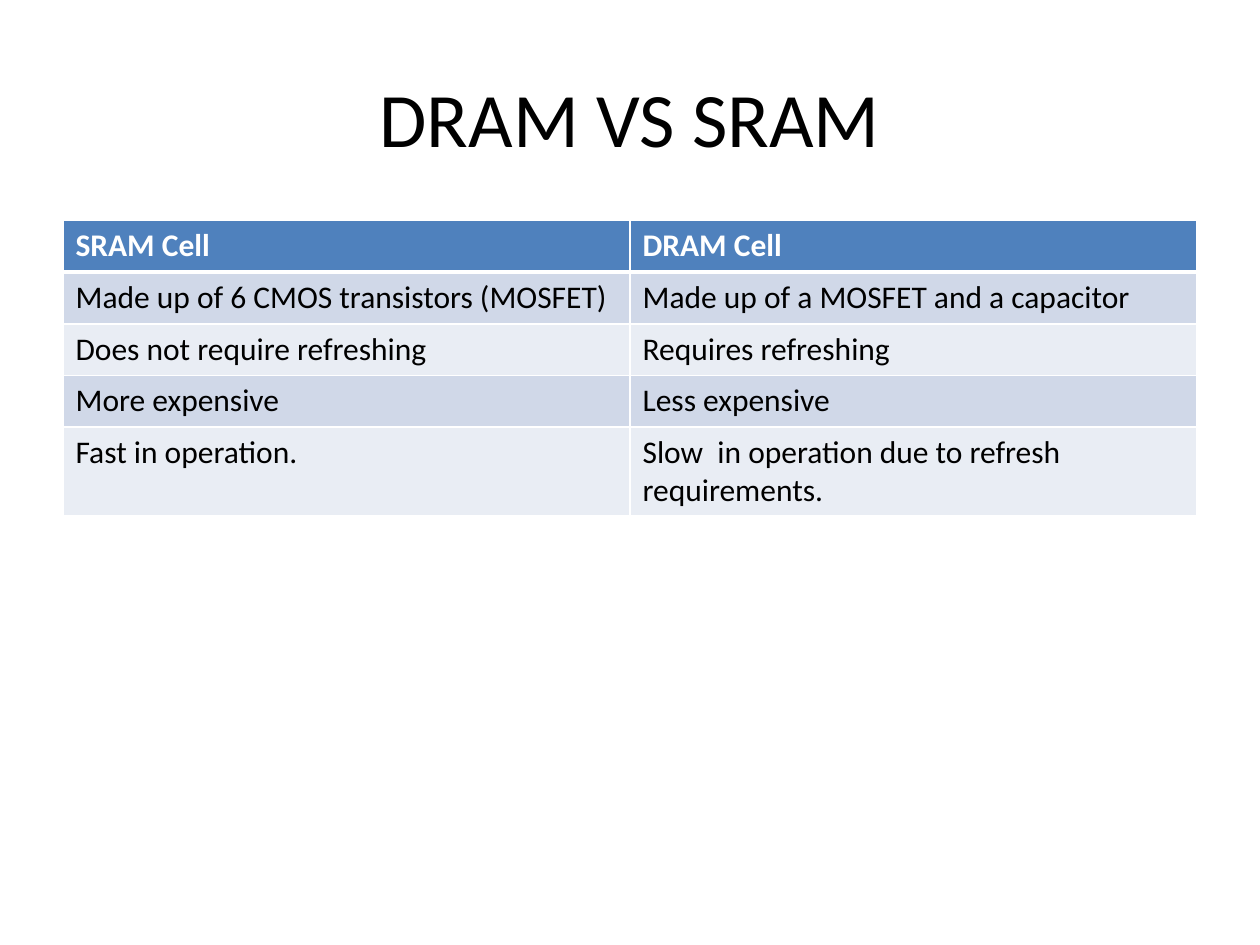
from dataclasses import dataclass

from lxml.etree import SubElement
from pptx import Presentation
from pptx.dml.color import RGBColor as Color
from pptx.enum.text import MSO_ANCHOR as Anchor, PP_ALIGN as Align
from pptx.oxml.ns import qn
from pptx.util import Inches, Pt


@dataclass(frozen=True)
class Theme:
    font: str = "Calibri"
    title_size: int = 44
    table_size: int = 18
    ink: str = "000000"
    paper: str = "FFFFFF"
    header: str = "4F81BD"
    bands: tuple = ("D0D8E8", "E9EDF4")
    rule: float = 1
    header_rule: float = 3


THEME = Theme()

COMPARISON = [
    ("SRAM Cell", "DRAM Cell"),
    ("Made up of 6 CMOS transistors (MOSFET)", "Made up of a MOSFET and a capacitor"),
    ("Does not require refreshing", "Requires refreshing"),
    ("More expensive", "Less expensive"),
    ("Fast in operation.", "Slow  in operation due to refresh requirements."),
]


def write_text(frame, text, *, size, color=THEME.ink, bold=False, align=Align.LEFT):
    para = frame.paragraphs[0]
    para.alignment = align
    span = para.add_run()
    span.text = text
    span.font.name = THEME.font
    span.font.size = Pt(size)
    span.font.bold = bold
    span.font.color.rgb = Color.from_string(color)


def add_title(page, text):
    box = page.shapes.add_textbox(Inches(0.5), Inches(0.3), Inches(9), Inches(1.25))
    frame = box.text_frame
    frame.word_wrap = True
    frame.vertical_anchor = Anchor.MIDDLE
    write_text(frame, text, size=THEME.title_size, align=Align.CENTER)


def set_borders(cell, widths):
    """Draw cell rules; widths maps L, R, T and B to points."""
    properties = cell._tc.get_or_add_tcPr()
    for index, (side, width) in enumerate(widths.items()):
        line = SubElement(properties, qn(f"a:ln{side}"), w=str(Pt(width)))
        fill = SubElement(line, qn("a:solidFill"))
        SubElement(fill, qn("a:srgbClr"), val=THEME.paper)
        properties.insert(index, line)  # borders must precede the cell fill


def format_cell(cell, text, row):
    is_header = row == 0
    cell.fill.solid()
    fill = THEME.header if is_header else THEME.bands[(row - 1) % 2]
    cell.fill.fore_color.rgb = Color.from_string(fill)
    write_text(cell.text_frame, text, size=THEME.table_size, bold=is_header,
               color=THEME.paper if is_header else THEME.ink)
    top = THEME.header_rule if row == 1 else THEME.rule
    bottom = THEME.header_rule if is_header else THEME.rule
    set_borders(cell, {"L": THEME.rule, "R": THEME.rule, "T": top, "B": bottom})


def add_comparison(page, rows):
    row_height = Inches(0.41)
    table = page.shapes.add_table(len(rows), len(rows[0]), Inches(0.5), Inches(1.75),
                                  Inches(9), row_height * len(rows)).table
    for row, texts in enumerate(rows):
        table.rows[row].height = row_height
        for column, text in enumerate(texts):
            format_cell(table.cell(row, column), text, row)


def main():
    deck = Presentation()
    deck.slide_width, deck.slide_height = Inches(10), Inches(7.5)
    page = deck.slides.add_slide(deck.slide_layouts[6])
    add_title(page, "DRAM VS SRAM")
    add_comparison(page, COMPARISON)
    deck.save("out.pptx")


if __name__ == "__main__":
    main()
